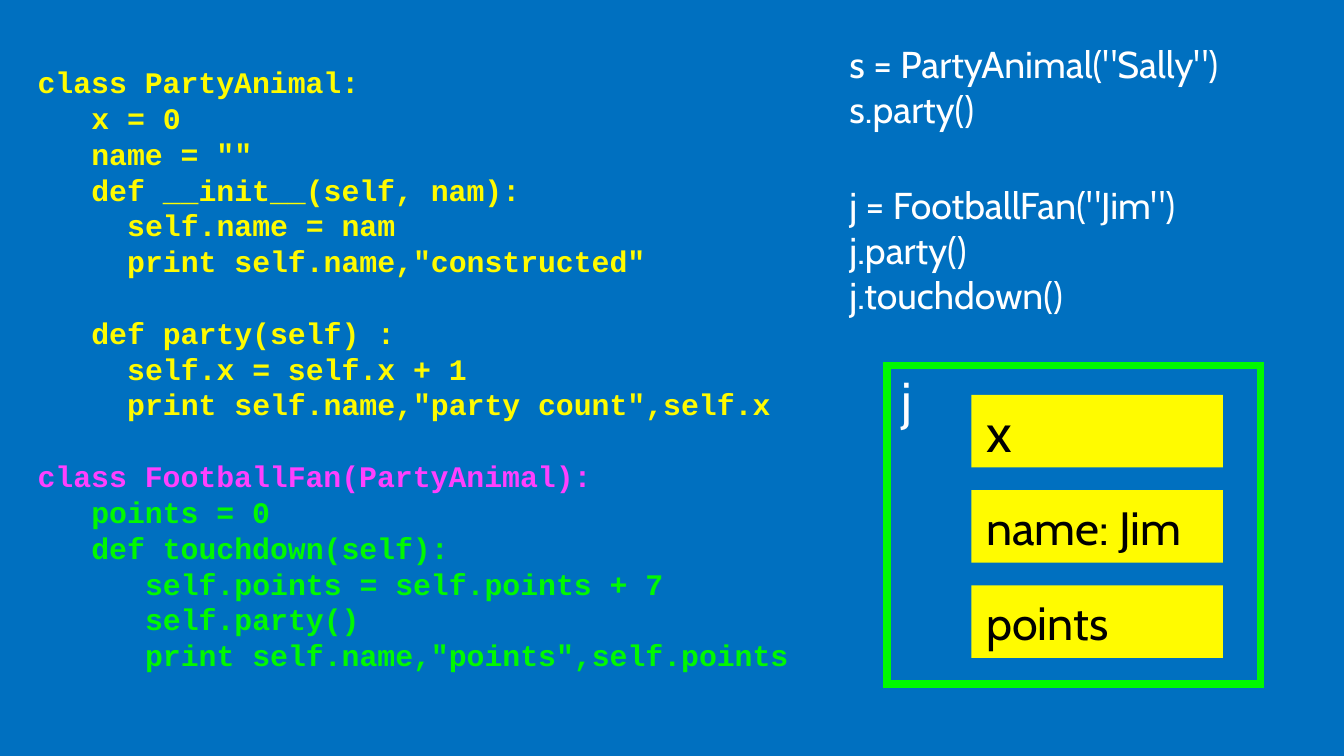
"""Slide on class inheritance: code listing, calls and the resulting object."""
from collections import namedtuple

from lxml.etree import SubElement
from pptx import Presentation
from pptx.dml.color import RGBColor
from pptx.enum.shapes import MSO_SHAPE
from pptx.enum.text import MSO_ANCHOR, PP_ALIGN
from pptx.oxml.ns import qn
from pptx.util import Inches, Pt

WIDTH = 10
HEIGHT = WIDTH * 9 / 16
COLORS = {
    "background": "0070C0",
    "white": "FFFFFF",
    "black": "000000",
    "yellow": "FFFB00",
    "pink": "FF40FF",
    "green": "00F900",
}
INSET, LABEL_INSET = 0.02, 0.11
CODE_SIZE, CODE_LINE = 16, 19.2
CODE_CHARACTER = 0.6 * CODE_SIZE

Box = namedtuple("Box", "left top width height")

PARTY_ANIMAL = """class PartyAnimal:
   x = 0
   name = ""
   def __init__(self, nam):
     self.name = nam
     print self.name,"constructed"

   def party(self) :
     self.x = self.x + 1
     print self.name,"party count",self.x"""
FOOTBALL_FAN = """
class FootballFan(PartyAnimal):"""
FOOTBALL_FAN_BODY = """   points = 0
   def touchdown(self):
      self.points = self.points + 7
      self.party()
      print self.name,"points",self.points"""
CALLS = """s = PartyAnimal("Sally")
s.party()

j = FootballFan("Jim")
j.party()
j.touchdown()"""
FIELDS = [("x", 29), ("name: Jim", 25), ("points", 25)]


def rgb(name):
    """Return the named colour."""
    return RGBColor.from_string(COLORS[name])


def part(box, left, top, width, height):
    """Return the box that takes the given percentages of another box."""
    return Box(
        box.left + left * box.width / 100,
        box.top + top * box.height / 100,
        width * box.width / 100,
        height * box.height / 100,
    )


def prepare_frame(shape, anchor=MSO_ANCHOR.MIDDLE, left=INSET):
    """Set wrapping, anchor and margins of a shape's text frame."""
    frame = shape.text_frame
    frame.word_wrap = True
    frame.vertical_anchor = anchor
    frame.margin_left = Inches(left)
    frame.margin_top = frame.margin_right = frame.margin_bottom = Inches(INSET)
    return frame


def add_text(frame, text, size=20, font="Cabin", color="white", bold=False,
             gap=0, line=None, character=0):
    """Add one paragraph per line; an empty line becomes space before the next."""
    space = 0
    for row in text.split("\n"):
        words = row.lstrip()
        if not words:
            space = gap
            continue
        first = frame.paragraphs[0]
        paragraph = frame.add_paragraph() if first.runs else first
        paragraph.alignment = PP_ALIGN.LEFT
        paragraph.space_before = Pt(space)
        if line:
            paragraph.line_spacing = Pt(line)
        indent = Pt((len(row) - len(words)) * character)
        paragraph._p.get_or_add_pPr().set("marL", str(indent))
        run = paragraph.add_run()
        run.text = words
        run.font.name, run.font.size, run.font.bold = font, Pt(size), bold
        run.font.color.rgb = rgb(color)
        space = 0


def add_rectangle(slide, box, fill=None, line=None, weight=4):
    """Add a plain rectangle with an optional fill and square-cornered outline."""
    shape = slide.shapes.add_shape(MSO_SHAPE.RECTANGLE, *map(Inches, box))
    shape.shadow.inherit = False
    if fill:
        shape.fill.solid()
        shape.fill.fore_color.rgb = rgb(fill)
    else:
        shape.fill.background()
    if line:
        shape.line.color.rgb = rgb(line)
        shape.line.width = Pt(weight)
        outline = shape._element.spPr.find(qn("a:ln"))
        SubElement(outline, qn("a:miter"), lim="800000")
    else:
        shape.line.fill.background()
    return shape


def add_calls(slide, box):
    """Place the calls that use the two classes."""
    frame = prepare_frame(slide.shapes.add_textbox(*map(Inches, box)))
    add_text(frame, CALLS, gap=27.5)


def add_object(slide, box):
    """Place the object's frame with its name and an even stack of fields."""
    outline = add_rectangle(slide, box, line="green")
    add_text(prepare_frame(outline, MSO_ANCHOR.TOP, LABEL_INSET), "j", size=27)
    for index, (label, size) in enumerate(FIELDS):
        field_box = part(box, 22.6, 9.2 + 29.9 * index, 67.3, 22.8)
        field = add_rectangle(slide, field_box, fill="yellow")
        frame = prepare_frame(field, left=LABEL_INSET)
        add_text(frame, label, size=size, color="black")


def add_code(slide, box):
    """Place the code listing of both classes."""
    frame = prepare_frame(slide.shapes.add_textbox(*map(Inches, box)))
    listing = [(PARTY_ANIMAL, "yellow"), (FOOTBALL_FAN, "pink"),
               (FOOTBALL_FAN_BODY, "green")]
    for text, color in listing:
        add_text(frame, text, size=CODE_SIZE, font="Courier New", color=color,
                 bold=True, gap=CODE_LINE, line=CODE_LINE,
                 character=CODE_CHARACTER)


def main():
    """Build and save the slide."""
    presentation = Presentation()
    presentation.slide_width = Inches(WIDTH)
    presentation.slide_height = Inches(HEIGHT)
    slide = presentation.slides.add_slide(presentation.slide_layouts[6])
    slide.background.fill.solid()
    slide.background.fill.fore_color.rgb = rgb("background")
    page = Box(0, 0, WIDTH, HEIGHT)
    add_calls(slide, part(page, 63, 7.29, 29.2, 32.71))
    add_object(slide, part(page, 66, 48.36, 27.8, 42.13))
    add_code(slide, part(page, 2.6, 3.02, 58.5, 91.38))
    presentation.save("out.pptx")


if __name__ == "__main__":
    main()
